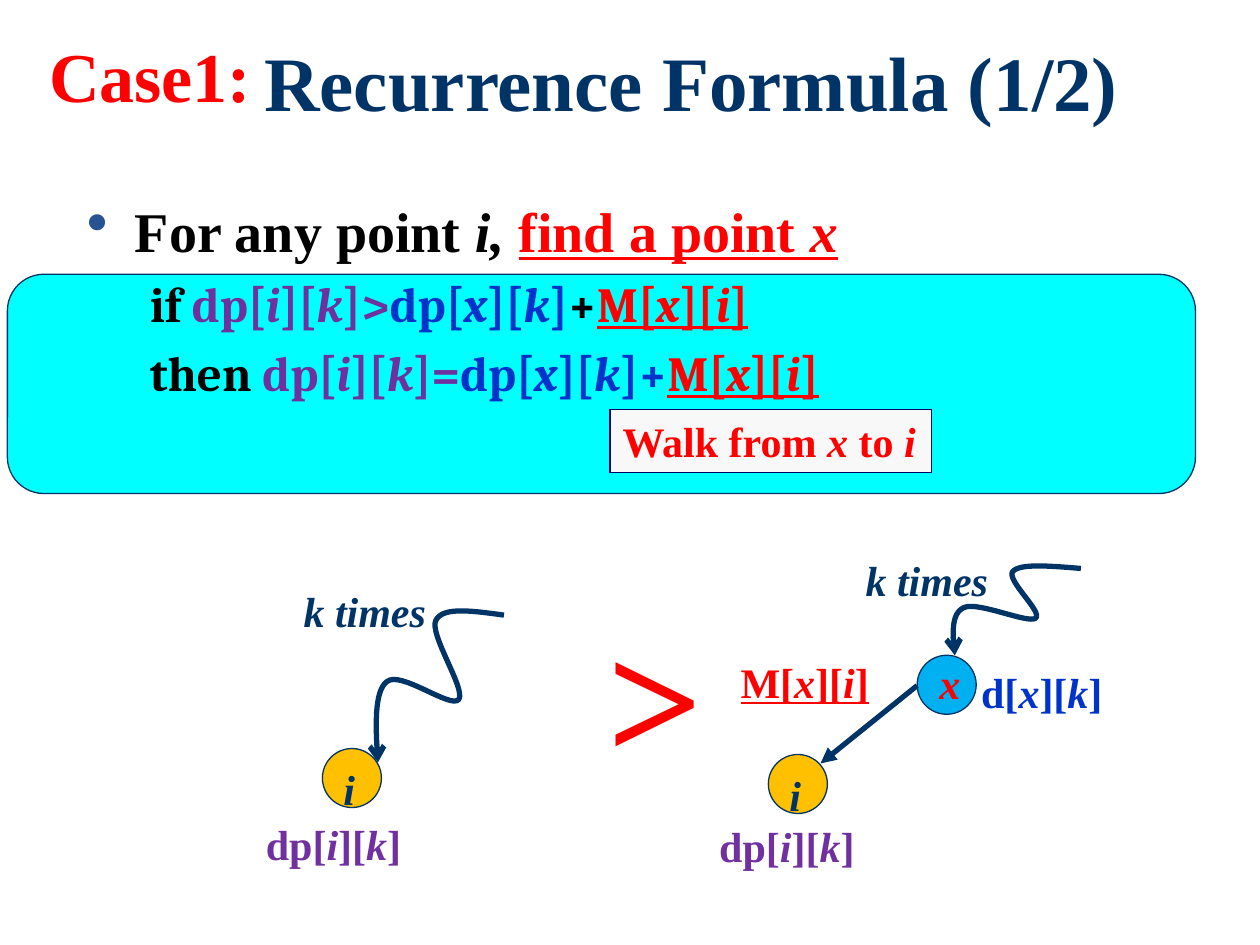
import pptx
import pptx.util
import pptx.dml.color
import pptx.enum.shapes
import pptx.enum.text
import pptx.oxml
import pptx.oxml.ns
from lxml import etree

Cm, Pt = pptx.util.Cm, pptx.util.Pt
SHAPES = pptx.enum.shapes.MSO_SHAPE
THEME = {
    "navy": "003366", "red": "FF0000", "purple": "7030A0", "blue": "0033CC",
    "black": "000000", "cyan": "00FFFF", "sky": "00B0F0", "amber": "FFC000",
    "paper": "F8F8F8", "frame": "000066", "bullet": "275393",
    "serif": "Times New Roman", "formula font": "Cambria",
    "title": 44, "case": 40, "body": 32, "formula": 28, "label": 24, "sign": 96,
}


def colour(name):
    return pptx.dml.color.RGBColor.from_string(THEME[name])


def write(paragraph, parts, size="label", font="serif"):
    """Add bold runs from (text, colour, underline) parts; *stars* mark italics."""
    for text, ink, underline in parts:
        for index, piece in enumerate(text.split("*")):
            if not piece:
                continue
            run = paragraph.add_run()
            run.text = piece
            values = {"name": THEME[font], "size": Pt(THEME[size]), "bold": True,
                      "italic": index % 2 == 1, "underline": underline}
            for key, value in values.items():
                setattr(run.font, key, value)
            run.font.color.rgb = colour(ink)


presentation = pptx.Presentation()
presentation.slide_width, presentation.slide_height = Cm(25.4), Cm(19.05)
slide = presentation.slides.add_slide(presentation.slide_layouts[6])
shapes = slide.shapes

# Filled shapes: kind, left, top, width, height, fill, line, text
circle = 1.19
filled_shapes = [
    (SHAPES.ROUNDED_RECTANGLE, 0.15, 5.53, 23.95, 4.42, "cyan", "navy", None),
    (SHAPES.RECTANGLE, 12.3, 8.25, 6.48, 1.28, "paper", "frame", ("Walk from *x* to *i*", "red")),
    (SHAPES.OVAL, 6.5, 15.09, circle, circle, "amber", "navy", ("*i*", "navy")),
    (SHAPES.OVAL, 15.49, 15.21, circle, circle, "amber", "navy", ("*i*", "navy")),
    (SHAPES.OVAL, 18.49, 13.21, circle, circle, "sky", "navy", None),
]
for kind, left, top, width, height, fill, line, label in filled_shapes:
    shape = shapes.add_shape(kind, Cm(left), Cm(top), Cm(width), Cm(height))
    shape.shadow.inherit = False
    shape.fill.solid()
    shape.fill.fore_color.rgb = colour(fill)
    shape.line.color.rgb = colour(line)
    shape.line.width = Pt(0.75)
    if label:
        frame = shape.text_frame
        frame.word_wrap = False
        frame.vertical_anchor = pptx.enum.text.MSO_ANCHOR.TOP
        frame.paragraphs[0].alignment = pptx.enum.text.PP_ALIGN.LEFT
        write(frame.paragraphs[0], [(*label, False)])

# Title
title = shapes.add_textbox(Cm(3.78), Cm(0.58), Cm(20.32), Cm(2.34)).text_frame
title.word_wrap = True
title.vertical_anchor = pptx.enum.text.MSO_ANCHOR.MIDDLE
title.paragraphs[0].alignment = pptx.enum.text.PP_ALIGN.CENTER
title.paragraphs[0].line_spacing = 0.9
write(title.paragraphs[0], [("Recurrence Formula (1/2)", "navy", False)], "title")

# Statement with the recurrence
body = shapes.add_textbox(Cm(1.5), Cm(3.84), Cm(23.6), Cm(5.89)).text_frame
body.word_wrap = True
statement = body.paragraphs[0]
properties = statement._p.get_or_add_pPr()
properties.set("marL", str(Cm(0.97)))
properties.set("indent", str(-Cm(0.97)))
bullet_colour = etree.SubElement(properties, pptx.oxml.ns.qn("a:buClr"))
etree.SubElement(bullet_colour, pptx.oxml.ns.qn("a:srgbClr"), val=THEME["bullet"])
etree.SubElement(properties, pptx.oxml.ns.qn("a:buSzPct"), val="110000")
etree.SubElement(properties, pptx.oxml.ns.qn("a:buChar"), char="•")
write(statement, [("For any point *i, *", "black", False),
                  ("find a point* x*", "red", True)], "body")
for word, relation in (("if ", ">"), ("then ", "=")):
    paragraph = body.add_paragraph()
    paragraph.space_before = Pt(5.6)
    paragraph._p.get_or_add_pPr().set("marL", str(Cm(1.27)))
    write(paragraph, [(word, "black", False),
                      ("dp[*i*][*k*]" + relation, "purple", False),
                      ("dp[*x*][*k*]", "blue", False),
                      ("+", "black" if word == "if " else "blue", False),
                      ("M[*x*][*i*]", "red", True)], "formula", "formula font")

# Route curves: Bézier points as offsets from the start, the right one flattened
route = [(0, 0), (-0.61, -0.08), (-1.22, -0.18), (-1.37, 0.1), (-1.52, 0.38),
         (-0.76, 1.49), (-0.91, 1.7), (-1.07, 1.9), (-2.08, 1.11), (-2.36, 1.34),
         (-2.62, 1.54), (-2.59, 2.26), (-2.54, 2.97)]
steps = 16
arrows = []
for start_x, start_y, stretch in ((10.16, 12.4, 1), (21.79, 11.46, 0.59)):
    points = []
    for first in range(0, len(route) - 1, 3):
        for step in range(1, steps + 1):
            t = step / steps
            weights = ((1 - t) ** 3, 3 * t * (1 - t) ** 2, 3 * t * t * (1 - t), t ** 3)
            corners = list(zip(weights, route[first:first + 4]))
            x = start_x + sum(weight * point[0] for weight, point in corners)
            y = start_y + stretch * sum(weight * point[1] for weight, point in corners)
            points.append((Cm(x), Cm(y)))
    builder = shapes.build_freeform(Cm(start_x), Cm(start_y))
    builder.add_line_segments(points, close=False)
    curve = builder.convert_to_shape()
    curve.fill.background()
    curve.shadow.inherit = False
    arrows.append((curve, "arrow"))

edge = shapes.add_connector(pptx.enum.shapes.MSO_CONNECTOR.STRAIGHT,
                            Cm(18.49), Cm(13.82), Cm(16.54), Cm(15.39))
etree.SubElement(edge._element.spPr, pptx.oxml.ns.qn("a:effectLst"))
arrows.append((edge, "triangle"))
for arrow, head in arrows:
    arrow.line.color.rgb = colour("navy")
    arrow.line.width = Pt(3)
    etree.SubElement(arrow.line._get_or_add_ln(), pptx.oxml.ns.qn("a:tailEnd"), type=head)

# Labels: text, left, top, width, height, colour, underline, size
labels = [
    ("Case1:", 0.74, 0.53, 4.62, 1.96, "red", False, "case"),
    ("*k times*", 5.87, 11.68, 3, 1.28, "navy", False, "label"),
    ("*k times*", 17.2, 11.05, 3, 1.28, "navy", False, "label"),
    ("M[*x*][*i*]", 14.68, 13.11, 3.12, 1.28, "red", True, "label"),
    (">", 11.99, 11.81, 2.46, 4.37, "red", False, "sign"),
    ("dp[*i*][*k*]", 5.11, 16.38, 3.28, 1.28, "purple", False, "label"),
    ("dp[*i*][*k*]", 14.25, 16.41, 3.28, 1.28, "purple", False, "label"),
    ("*x*", 18.69, 13.13, 0.94, 1.28, "red", False, "label"),
    ("d[*x*][*k*]", 19.53, 13.31, 2.97, 1.28, "blue", False, "label"),
]
for text, left, top, width, height, ink, underline, size in labels:
    frame = shapes.add_textbox(Cm(left), Cm(top), Cm(width), Cm(height)).text_frame
    frame.word_wrap = False
    write(frame.paragraphs[0], [(text, ink, underline)], size)

presentation.save("out.pptx")
